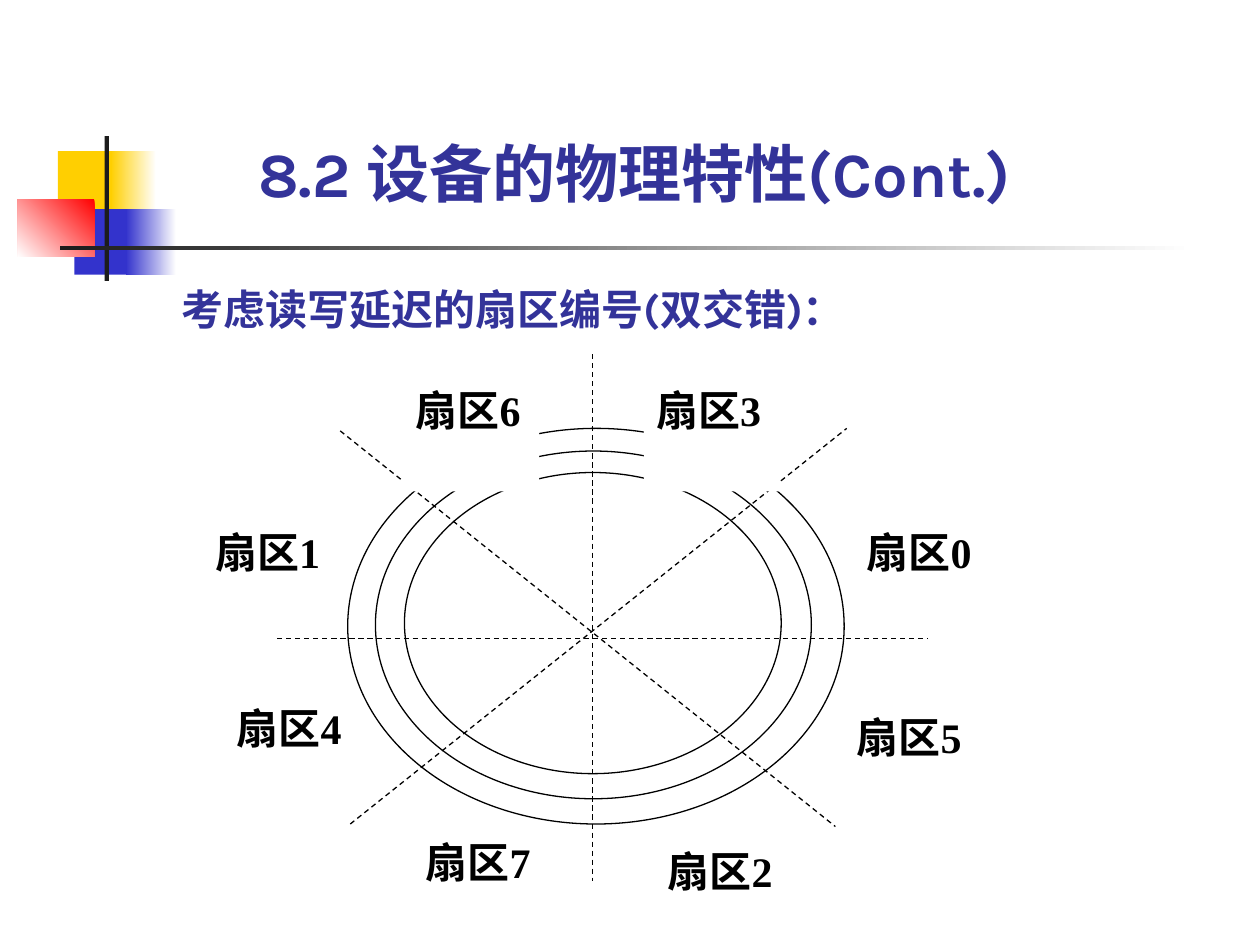
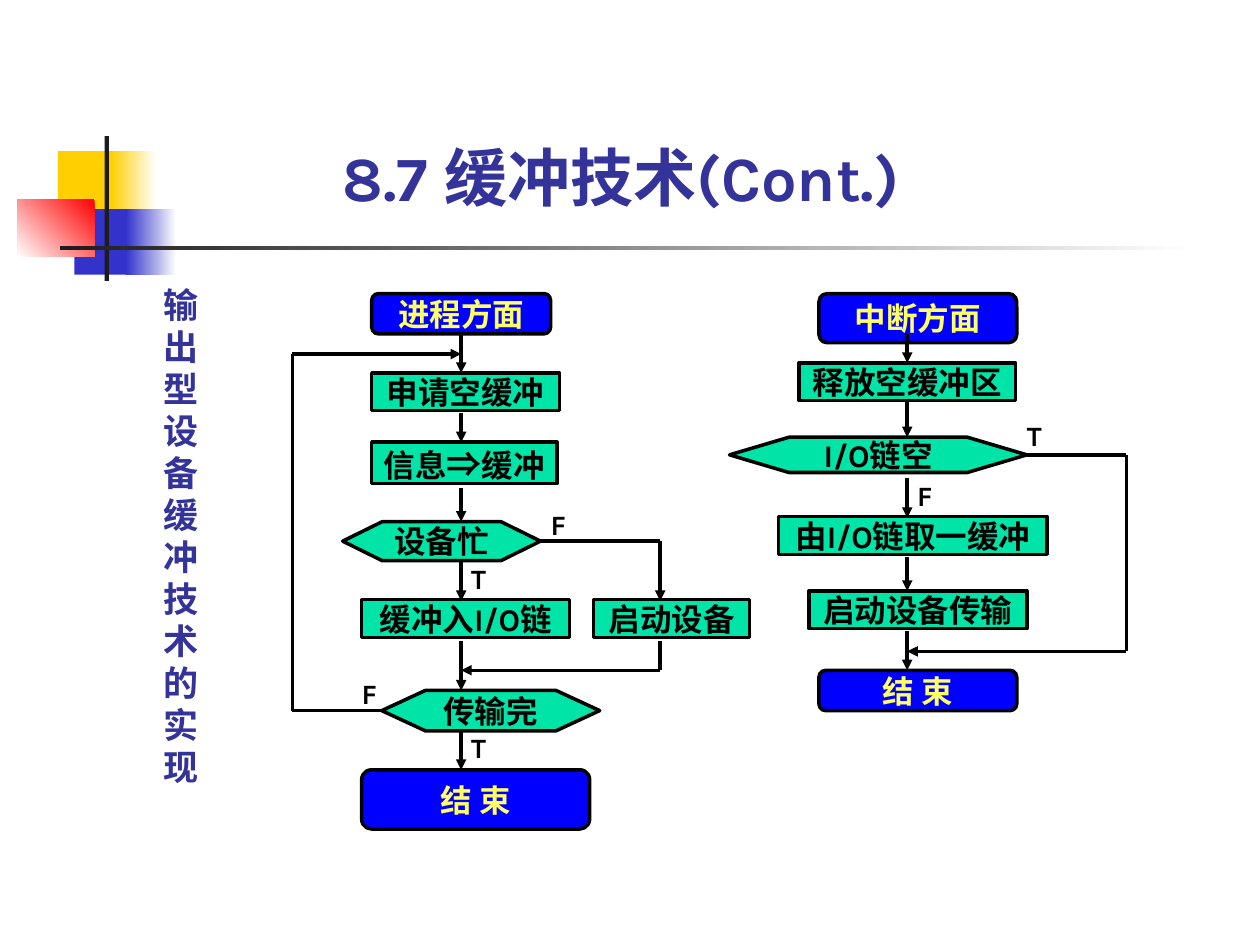
from lxml import etree
from pptx import Presentation
from pptx.dml.color import RGBColor
from pptx.enum.dml import MSO_LINE
from pptx.enum.shapes import MSO_CONNECTOR, MSO_SHAPE
from pptx.enum.text import MSO_ANCHOR, MSO_AUTO_SIZE, PP_ALIGN
from pptx.oxml.ns import qn
from pptx.util import Inches, Pt

RECT, OVAL = MSO_SHAPE.RECTANGLE, MSO_SHAPE.OVAL
ROUNDED = MSO_SHAPE.FLOWCHART_ALTERNATE_PROCESS
HEXAGON = MSO_SHAPE.FLOWCHART_PREPARATION
STRAIGHT, DASH = MSO_CONNECTOR.STRAIGHT, MSO_LINE.DASH
TOP, MIDDLE, BOTTOM = MSO_ANCHOR.TOP, MSO_ANCHOR.MIDDLE, MSO_ANCHOR.BOTTOM
LEFT, CENTER = PP_ALIGN.LEFT, PP_ALIGN.CENTER
GROW, FIXED = MSO_AUTO_SIZE.SHAPE_TO_FIT_TEXT, MSO_AUTO_SIZE.NONE
SIDE_TOP, SIDE_LEFT, SIDE_BOTTOM, SIDE_RIGHT = range(4)

COLUMNS, ROWS = 100, 75
COLORS = {
    "white": "FFFFFF", "black": "000000", "ink": "1C1C1C", "heading": "333399",
    "gold": "FFCF01", "indigo": "3333CC", "red": "FF0000",
    "terminal": "0000FF", "terminal text": "FFFF66", "step": "00E4A8",
}
SANS, SERIF, SYMBOL = "Karla", "Times New Roman", "Arial"

# Flowchart kinds: shape, fill, text colour, anchor
KINDS = {
    "terminal": (ROUNDED, "terminal", "terminal text", MIDDLE),
    "step": (RECT, "step", "black", TOP),
    "test": (HEXAGON, "step", "black", MIDDLE),
}


def rgb(name):
    return RGBColor.from_string(COLORS[name])


class Painter:
    """Holds the shared style and the slide being drawn."""

    def __init__(self, deck):
        self.deck = deck
        self.column = deck.slide_width / COLUMNS
        self.row = deck.slide_height / ROWS
        self.page = None

    def across(self, columns):
        return round(columns * self.column)

    def down(self, rows):
        return round(rows * self.row)

    def place(self, left, top, width, height):
        return (self.across(left), self.down(top),
                self.across(width), self.down(height))

    def new_page(self, title, title_place):
        self.page = self.deck.slides.add_slide(self.deck.slide_layouts[6])
        self.emblem()
        self.text(title_place, title, 36, "heading", anchor=BOTTOM)

    def shape(self, kind, place, fill, outline=None):
        """Fill is a colour name, or (first, last, angle) for a gradient."""
        shape = self.page.shapes.add_shape(kind, *self.place(*place))
        shape.shadow.inherit = False
        if isinstance(fill, tuple):
            shape.fill.gradient()
            for stop, name in zip(shape.fill.gradient_stops, fill):
                stop.color.rgb = rgb(name)
            shape.fill.gradient_angle = fill[2]
        else:
            shape.fill.solid()
            shape.fill.fore_color.rgb = rgb(fill)
        if outline:
            shape.line.color.rgb = rgb("black")
            shape.line.width = Pt(outline)
        else:
            shape.line.fill.background()
        return shape

    def emblem(self):
        """Coloured squares and the two rules beside the title."""
        for place, fill in (
            ((4.6, 12, 4.8, 5.2), "gold"),
            ((8.8, 12, 3.6, 5.2), ("white", "gold", 180)),
            ((5.9, 16.6, 4.6, 5.2), "indigo"),
            ((10, 16.6, 4, 5.2), ("white", "indigo", 180)),
            ((1.4, 15.8, 6.1, 4.6), ("red", "white", 225)),
            ((8.3, 10.8, 0.35, 11.5), "ink"),
            ((4.8, 19.5, 90, 0.35), ("white", "ink", 180)),
        ):
            self.shape(RECT, place, fill)

    def fill_text(self, box, spans, size, color, font=SANS, anchor=TOP,
                  align=LEFT, inset=(0, 0), fit=GROW, wrap=True):
        """Spans is a string, or a list of (text, size, font)."""
        frame = box.text_frame
        frame.word_wrap, frame.auto_size = wrap, fit
        frame.vertical_anchor = anchor
        frame.margin_left = frame.margin_right = Inches(inset[0])
        frame.margin_top = frame.margin_bottom = Inches(inset[1])
        para = frame.paragraphs[0]
        para.alignment = align
        if isinstance(spans, str):
            spans = [(spans, size, font)]
        for words, points, face in spans:
            span = para.add_run()
            span.text = words
            span.font.size, span.font.name = Pt(points), face
            span.font.bold = True
            span.font.color.rgb = rgb(color)

    def text(self, place, words, size, color, **style):
        box = self.page.shapes.add_textbox(*self.place(*place))
        self.fill_text(box, words, size, color, **style)

    def sector(self, left, top, number):
        box = self.shape(RECT, (left, top, 10.8, 9), "white")
        self.fill_text(box, f"扇区{number}", 24, "black", font=SERIF,
                       inset=(0.1, 0.05))

    def node(self, kind, place, spans):
        outline, fill, color, anchor = KINDS[kind]
        box = self.shape(outline, place, fill, 2)
        if kind == "step":
            self.fill_text(box, spans, 18, color, align=CENTER)
        else:
            self.fill_text(box, spans, 18, color, anchor=anchor, align=CENTER,
                           inset=(0.1, 0.05), fit=FIXED, wrap=False)
        return box

    def line(self, start, end, width=2, dash=None, arrow=False):
        line = self.page.shapes.add_connector(
            STRAIGHT, self.across(start[0]), self.down(start[1]),
            self.across(end[0]), self.down(end[1]))
        line.line.color.rgb = rgb("black")
        line.line.width = Pt(width)
        if dash:
            line.line.dash_style = dash
        properties = line._element.spPr
        if arrow:
            outline = properties.find(qn("a:ln"))
            etree.SubElement(outline, qn("a:tailEnd"), type="triangle")
        etree.SubElement(properties, qn("a:effectLst"))
        return line

    def route(self, *points):
        """Joined segments, the last with an arrowhead; returns them."""
        last = len(points) - 2
        return [self.line(start, end, arrow=index == last)
                for index, (start, end) in enumerate(zip(points, points[1:]))]

    def drops(self, spine, spans):
        return [self.route((spine, top), (spine, bottom))[0]
                for top, bottom in spans]


def sector_page(painter):
    painter.new_page("8.2 设备的物理特性(Cont.)", (20.5, 10.7, 65.8, 6))

    # Tracks
    for track in ((27.6, 34, 39.4, 31.4), (29.8, 35.8, 34.6, 27.6),
                  (32.1, 37.5, 29.9, 23.9)):
        painter.shape(OVAL, track, "white", 0.75)

    # Sector borders
    for start, end in (((27, 34.2), (66.3, 65.6)), ((27.8, 65.4), (67.2, 34)),
                       ((47, 28.1), (47, 69.9)), ((22, 50.7), (73.6, 50.7))):
        painter.line(start, end, width=0.75, dash=DASH)

    # Sector labels, clockwise from the right
    for left, top, number in (
        (67.8, 41.3, 0), (67, 56, 5), (52, 66.6, 2), (32.8, 65.9, 7),
        (17.8, 55.3, 4), (16.1, 41.3, 1), (32, 30, 6), (51.1, 30, 3),
    ):
        painter.sector(left, top, number)

    painter.text((14.4, 22.5, 54.5, 4), "考虑读写延迟的扇区编号(双交错)：",
                 24, "heading")


def buffer_page(painter):
    painter.new_page("8.7 缓冲技术(Cont.)", (27.2, 11, 49.6, 6))
    painter.text((13, 22.5, 3.9, 40), "输出型设备缓冲技术的实现", 20, "heading")

    # Process side
    node = painter.node
    process = node("terminal", (29.5, 23.3, 14.2, 3.2), "进程方面")
    node("step", (29.5, 29.6, 14.9, 3), "申请空缓冲")
    node("step", (29.5, 35.1, 14.7, 3.3),
         [("信息", 18, SANS), ("⇒", 20, SYMBOL), ("缓冲", 18, SANS)])
    busy = node("test", (27.2, 41.4, 15.7, 3.1), "设备忙")
    node("step", (28.7, 47.6, 16.5, 3), "缓冲入I/O链")
    node("step", (47.1, 47.6, 12.4, 3), "启动设备")
    done = node("test", (30.3, 54.8, 17.3, 3.2), "传输完")
    node("terminal", (28.7, 61.1, 18.1, 4.7), "结 束")

    # Interrupt side
    node("terminal", (65, 23.3, 15.7, 3.9), "中断方面")
    release = node("step", (63.4, 28.8, 17.2, 3), "释放空缓冲区")
    empty = node("test", (57.9, 34.7, 23.6, 2.8), "I/O链空")
    node("step", (61.8, 41, 21.3, 3), "由I/O链取一缓冲")
    node("step", (64.2, 46.9, 17.3, 3), "启动设备传输")
    node("terminal", (65, 53.2, 15.7, 3.2), "结 束")

    # Downward arrows
    left_spine, right_spine = 36.6, 72
    first, *_ = painter.drops(left_spine, (
        (26.5, 29.6), (32.8, 35.1), (38.7, 41.4), (44.6, 47.7),
        (50.9, 54.8), (58, 61.1)))
    first.begin_connect(process, SIDE_BOTTOM)
    into_release, from_release, *_ = painter.drops(right_spine, (
        (26.5, 28.8), (31.8, 34.7), (37.9, 41.1), (44.2, 46.9), (50.1, 53.2)))
    into_release.end_connect(release, SIDE_TOP)
    from_release.begin_connect(release, SIDE_BOTTOM)

    # Branches: free device, loop back, empty chain
    device, loop, bypass = 52.4, 23.2, 89.4
    free = painter.route((42.9, 42.95), (device, 42.95), (device, 47.7))
    free[0].begin_connect(busy, SIDE_RIGHT)
    painter.route((device, 50.9), (device, 53.2), (left_spine, 53.2))
    back = painter.route((30.3, 56.4), (loop, 56.4), (loop, 28.1),
                         (left_spine, 28.1))
    back[0].begin_connect(done, SIDE_LEFT)
    skip = painter.route((81.5, 36.1), (bypass, 36.1), (bypass, 51.7),
                         (right_spine, 51.7))
    skip[0].begin_connect(empty, SIDE_RIGHT)

    # Branch letters
    for left, top, letter in (
        (37.4, 44.6, "T"), (37.4, 58, "T"), (28.7, 53.7, "F"),
        (43.7, 40.3, "F"), (72.8, 38, "F"), (81.5, 33.2, "T"),
    ):
        painter.text((left, top, 1.6, 2.7), letter, 16, "black")


def main():
    deck = Presentation()
    deck.slide_width, deck.slide_height = Inches(10), Inches(7.5)
    painter = Painter(deck)
    sector_page(painter)
    buffer_page(painter)
    deck.save("out.pptx")


if __name__ == "__main__":
    main()
